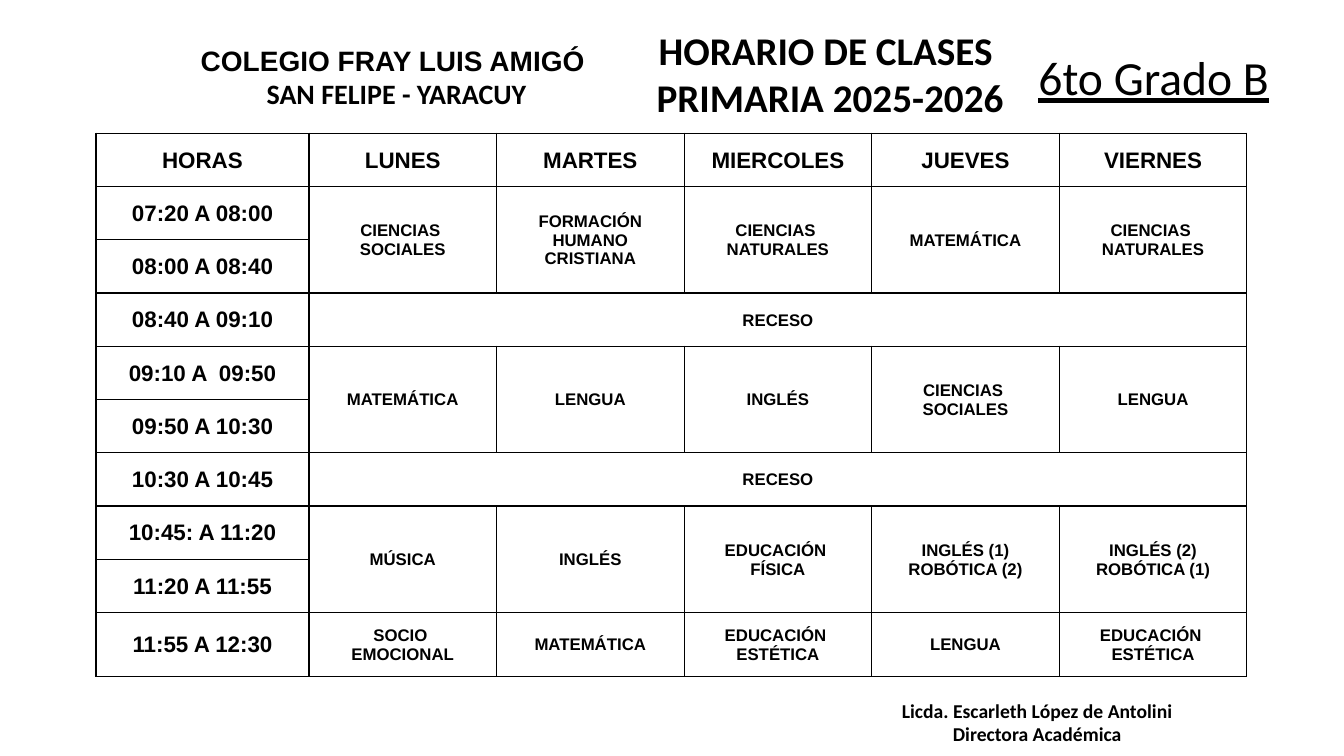
from copy import deepcopy

from lxml import etree
from pptx import Presentation
from pptx.dml.color import RGBColor
from pptx.enum.text import MSO_ANCHOR, MSO_AUTO_SIZE, PP_ALIGN
from pptx.oxml.ns import qn
from pptx.util import Pt

CENTER = PP_ALIGN.CENTER
TOP, MIDDLE = MSO_ANCHOR.TOP, MSO_ANCHOR.MIDDLE
NO_FIT = MSO_AUTO_SIZE.NONE
BLACK, WHITE = "000000", "FFFFFF"

# Content
HEADING = ["HORARIO DE CLASES ", "PRIMARIA 2025-2026"]
GRADE = ["6to Grado B"]
SCHOOL = ["COLEGIO FRAY LUIS AMIGÓ "]
TOWN = ["SAN FELIPE - YARACUY"]
SIGNATURE = ["Licda. Escarleth López de Antolini", "Directora Académica"]

DAYS = ["HORAS", "LUNES", "MARTES", "MIERCOLES", "JUEVES", "VIERNES"]
# Each block: its hours, then one subject a day (a single one fills the week)
BLOCKS = [
    (["07:20 A 08:00", "08:00 A 08:40"],
     ["CIENCIAS \nSOCIALES", "FORMACIÓN\nHUMANO\nCRISTIANA",
      "CIENCIAS \nNATURALES", "MATEMÁTICA", "CIENCIAS \nNATURALES"]),
    (["08:40 A 09:10"], ["RECESO"]),
    (["09:10 A  09:50", "09:50 A 10:30"],
     ["MATEMÁTICA", "LENGUA", "INGLÉS", "CIENCIAS \nSOCIALES", "LENGUA"]),
    (["10:30 A 10:45"], ["RECESO"]),
    (["10:45: A 11:20", "11:20 A 11:55"],
     ["MÚSICA", "INGLÉS", "EDUCACIÓN \nFÍSICA",
      "INGLÉS (1)\nROBÓTICA (2)", "INGLÉS (2)\nROBÓTICA (1)"]),
    (["11:55 A 12:30"],
     ["SOCIO \nEMOCIONAL", "MATEMÁTICA", "EDUCACIÓN \nESTÉTICA",
      "LENGUA", "EDUCACIÓN \nESTÉTICA"]),
]

# Table measures in points
TABLE_LEFT, TABLE_TOP = 68.6, 95.2
HOURS_WIDTH, DAY_WIDTH = 152.1, 134
ROW_HEIGHT, LAST_HEIGHT = 38.05, 45.7


def color(hex_code):
    return RGBColor.from_string(hex_code)


def write(frame, lines, size, font="Calibri", bold=True, underline=None, more=False):
    """Write one centred paragraph a line; more=True adds to existing text."""
    for index, line in enumerate(lines):
        paragraph = frame.add_paragraph() if index or more else frame.paragraphs[0]
        paragraph.text = line
        paragraph.alignment = CENTER
        for run in paragraph.runs:
            run.font.name, run.font.size = font, Pt(size)
            run.font.bold, run.font.underline = bold, underline
            run.font.color.rgb = color(BLACK)
        # Line breaks take the format of the text around them
        for line_break in paragraph._p.findall(qn("a:br")):
            line_break.append(deepcopy(paragraph.runs[0]._r.rPr))


def place_box(box, left, top, width, height, wrap=True):
    box.left, box.top, box.width, box.height = map(Pt, (left, top, width, height))
    frame = box.text_frame
    frame.word_wrap, frame.auto_size, frame.vertical_anchor = wrap, NO_FIT, TOP
    return frame


def add_box(left, top, width, height, wrap=True):
    box = slide.shapes.add_textbox(0, 0, 0, 0)
    return place_box(box, left, top, width, height, wrap)


def style_cell(cell):
    cell.vertical_anchor = MIDDLE
    cell.margin_left = cell.margin_right = cell.margin_top = Pt(0.7)
    cell.margin_bottom = 0
    properties = cell._tc.get_or_add_tcPr()
    for side in ("lnL", "lnR", "lnT", "lnB"):
        border = etree.SubElement(properties, qn("a:" + side), w=str(Pt(1)))
        fill = etree.SubElement(border, qn("a:solidFill"))
        etree.SubElement(fill, qn("a:srgbClr"), val=BLACK)
    cell.fill.solid()
    cell.fill.fore_color.rgb = color(WHITE)


presentation = Presentation()
presentation.slide_width, presentation.slide_height = Pt(960), Pt(540)
slide = presentation.slides.add_slide(presentation.slide_layouts[5])

# Heading, grade, school and signature
write(place_box(slide.shapes.title, 396.7, 15.1, 392.4, 74.9), HEADING, 28)
write(add_box(733.7, 31, 180.7, 48.2, wrap=False), GRADE, 34,
      bold=False, underline=True)
school_frame = add_box(131, 27.4, 304.6, 55.4)
write(school_frame, SCHOOL, 20, font="Arial")
write(school_frame, TOWN, 20, more=True)
write(add_box(604.1, 495.4, 273.6, 41), SIGNATURE, 14)

# Timetable grid
row_count = 1 + sum(len(hours) for hours, _ in BLOCKS)
row_heights = [ROW_HEIGHT] * (row_count - 1) + [LAST_HEIGHT]
column_widths = [HOURS_WIDTH] + [DAY_WIDTH] * (len(DAYS) - 1)
timetable = slide.shapes.add_table(
    row_count, len(DAYS), Pt(TABLE_LEFT), Pt(TABLE_TOP),
    Pt(sum(column_widths)), Pt(sum(row_heights))).table
timetable.first_row = timetable.horz_banding = False
for row, height in zip(timetable.rows, row_heights):
    row.height = Pt(height)
for column, width in zip(timetable.columns, column_widths):
    column.width = Pt(width)
for cell in timetable.iter_cells():
    style_cell(cell)

# Days, hours and subjects
for column, day in enumerate(DAYS):
    write(timetable.cell(0, column).text_frame, [day], 16, font="Arial")
first = 1
for hours, subjects in BLOCKS:
    last = first + len(hours) - 1
    for row, hour in enumerate(hours, first):
        write(timetable.cell(row, 0).text_frame, [hour], 16, font="Arial")
    span = (len(DAYS) - 1) // len(subjects)
    for column, subject in enumerate(subjects, 1):
        lesson = timetable.cell(first, column)
        if last > first or span > 1:
            lesson.merge(timetable.cell(last, column + span - 1))
        write(lesson.text_frame, [subject], 12, font="Arial")
    first = last + 1

presentation.save("out.pptx")
